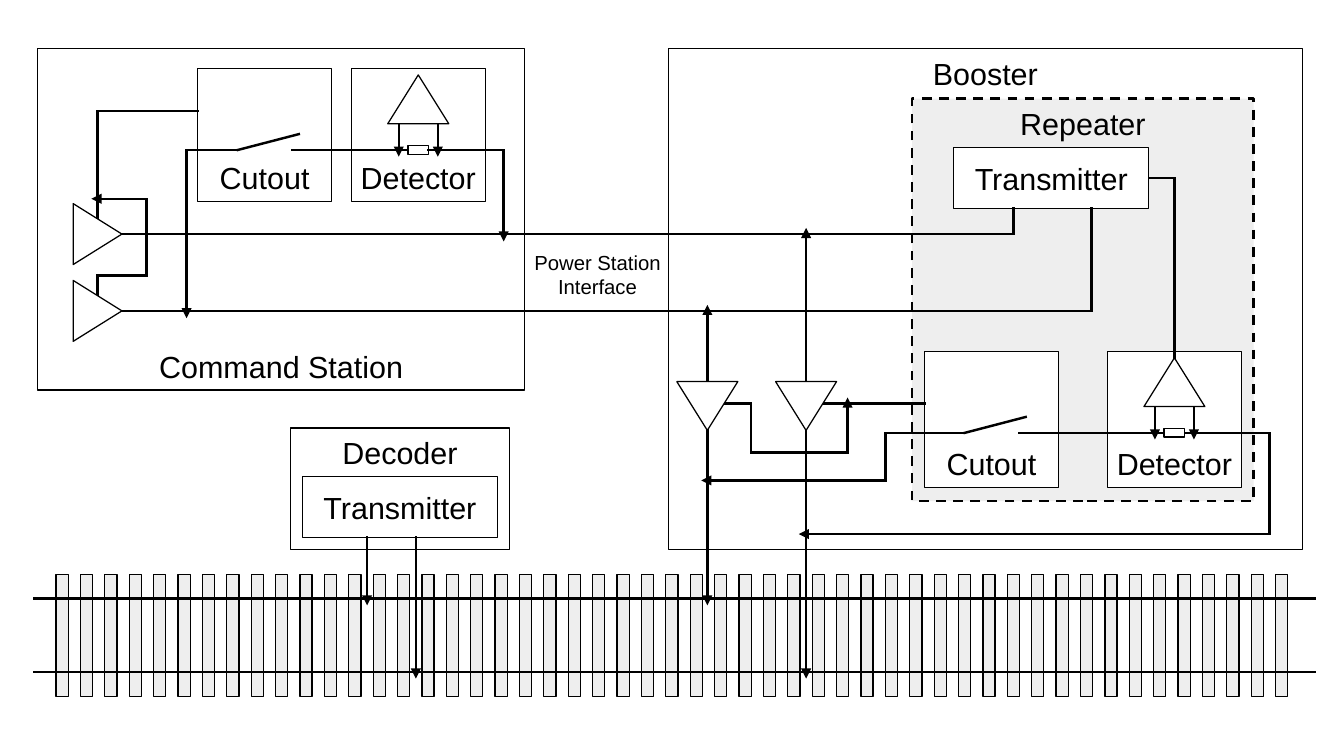
from dataclasses import dataclass

from lxml import etree
from pptx import Presentation
from pptx.dml.color import RGBColor
from pptx.enum.dml import MSO_LINE
from pptx.enum.shapes import MSO_CONNECTOR, MSO_SHAPE
from pptx.enum.text import MSO_ANCHOR, PP_ALIGN
from pptx.oxml.ns import qn
from pptx.shapes.autoshape import Shape
from pptx.shapes.shapetree import SlideShapes
from pptx.util import Emu, Pt

RECT = MSO_SHAPE.RECTANGLE
STRAIGHT = MSO_CONNECTOR.STRAIGHT
DASH = MSO_LINE.DASH
CENTER = PP_ALIGN.CENTER
TOP, MIDDLE, BOTTOM = MSO_ANCHOR.TOP, MSO_ANCHOR.MIDDLE, MSO_ANCHOR.BOTTOM
LEFT_SIDE, RIGHT_SIDE = 1, 3

CELL = 91440  # one grid cell is a tenth of an inch
COLS, ROWS = 110.2, 62
FONT = "Arial"
BLACK, WHITE, GREY = "000000", "FFFFFF", "EEEEEE"
THIN, THICK = 0.75, 1.45
TIES, TIE_STEP = 51, 2

Point = tuple[float, float]


@dataclass
class Box:
    x: float
    y: float
    wide: float
    high: float
    label: str = ""
    anchor: MSO_ANCHOR = TOP
    fill: str = WHITE
    dashed: bool = False


@dataclass
class Wire:
    """A run of straight lines; start is a box whose right side it leaves."""
    points: list[Point]
    arrow: bool = False
    start: Shape | None = None
    end: Shape | None = None


@dataclass
class Sensor:
    """A cutout switch and a detector that share one wire."""
    cut: float
    det: float
    top: float
    high: float
    wire: float


def cells(count: float) -> Emu:
    return Emu(round(count * CELL))


def color(text: str) -> RGBColor:
    return RGBColor.from_string(text)


def paint(shape: Shape, fill: str, width: float) -> None:
    shape.shadow.inherit = False
    shape.fill.solid()
    shape.fill.fore_color.rgb = color(fill)
    shape.line.color.rgb = color(BLACK)
    shape.line.width = Pt(width)


def write(shape: Shape, text: str, size: float, anchor: MSO_ANCHOR, wrap: bool) -> None:
    frame = shape.text_frame
    frame.text = text
    frame.word_wrap = wrap
    frame.vertical_anchor = anchor
    frame.margin_left = frame.margin_right = cells(1)
    frame.margin_top = frame.margin_bottom = cells(0.5)
    for para in frame.paragraphs:
        para.alignment = CENTER
        for run in para.runs:
            run.font.name = FONT
            run.font.size = Pt(size)
            run.font.color.rgb = color(BLACK)


def draw_box(shapes: SlideShapes, box: Box) -> Shape:
    shape = shapes.add_shape(RECT, cells(box.x), cells(box.y), cells(box.wide), cells(box.high))
    paint(shape, box.fill, THICK if box.dashed else THIN)
    if box.dashed:
        shape.line.dash_style = DASH
    if box.label:
        write(shape, box.label, 18, box.anchor, False)
    return shape


def draw_wire(shapes: SlideShapes, wire: Wire) -> None:
    lines = []
    for (x1, y1), (x2, y2) in zip(wire.points, wire.points[1:]):
        line = shapes.add_connector(STRAIGHT, cells(x1), cells(y1), cells(x2), cells(y2))
        line.line.color.rgb = color(BLACK)
        line.line.width = Pt(THICK)
        props = line._element.spPr
        props.find(qn("a:ln")).set("cap", "sq")
        etree.SubElement(props, qn("a:effectLst"))
        lines.append(line)
    if wire.arrow:
        stroke = lines[-1]._element.spPr.find(qn("a:ln"))
        etree.SubElement(stroke, qn("a:tailEnd"), type="triangle")
    if wire.start is not None:
        lines[0].begin_connect(wire.start, RIGHT_SIDE)
    if wire.end is not None:
        lines[-1].end_connect(wire.end, LEFT_SIDE)


def draw_amp(shapes: SlideShapes, x: float, y: float, dx: float, dy: float) -> None:
    """Draw a triangle with its tip at x, y, pointing along dx, dy."""
    back_x, back_y = x - 4 * dx, y - 4 * dy
    base = [(back_x + side * dy, back_y + side * dx) for side in (2.5, -2.5)]
    pen = shapes.build_freeform(cells(x), cells(y))
    pen.add_line_segments([(cells(px), cells(py)) for px, py in base], close=True)
    paint(pen.convert_to_shape(), WHITE, THIN)


def draw_sensor(shapes: SlideShapes, part: Sensor) -> Shape:
    """Draw both boxes with their contents and return the resistor."""
    for x, label in ((part.det, "Detector"), (part.cut, "Cutout")):
        draw_box(shapes, Box(x, part.top, 11, part.high, label, BOTTOM))
    y = part.wire
    load = draw_box(shapes, Box(part.det + 4.65, y - 0.35, 1.7, 0.7))
    draw_wire(shapes, Wire([(part.cut + 3.3, y), (part.cut + 8.3, y - 1.3)]))
    draw_wire(shapes, Wire([(part.cut + 7.8, y), (part.det + 4.65, y)], end=load))
    for x in (part.det + 3.9, part.det + 7.1):
        draw_wire(shapes, Wire([(x, y - 2.2), (x, y + 0.55)], arrow=True))
    draw_amp(shapes, part.det + 5.5, y - 6.15, 0, -1)
    return load


def main() -> None:
    deck = Presentation()
    deck.slide_width, deck.slide_height = cells(COLS), cells(ROWS)
    shapes = deck.slides.add_slide(deck.slide_layouts[6]).shapes

    boxes = [
        Box(54.8, 4, 52, 41.1, "Booster"),
        Box(74.8, 8.1, 28, 33, "Repeater", fill=GREY, dashed=True),
        Box(23.8, 35.1, 18, 10, "Decoder"),
        Box(3.1, 4, 39.9, 28, "Command Station", BOTTOM),
        Box(24.8, 39.1, 16, 5, "Transmitter", MIDDLE),
    ]
    ties = [Box(4.6 + TIE_STEP * i, 47.1, 1, 10, fill=GREY) for i in range(TIES)]
    for box in boxes + ties:
        draw_box(shapes, box)
    sender = draw_box(shapes, Box(78.2, 12.1, 16, 5, "Transmitter", MIDDLE))
    near = draw_sensor(shapes, Sensor(16.2, 28.8, 5.6, 10.9, 12.3))
    far = draw_sensor(shapes, Sensor(75.8, 90.8, 28.8, 11.2, 35.5))

    wires = [
        # Command station
        Wire([(8, 18.1), (8, 9.1), (16.2, 9.1)]),
        Wire([(8, 24.4), (8, 22.6), (12, 22.6), (12, 16.3), (7.5, 16.3)], True),
        Wire([(19.5, 12.3), (15.3, 12.3), (15.3, 26.1)], True),
        Wire([(35.15, 12.3), (41.3, 12.3), (41.3, 19.8)], True, near),
        # Power station interface
        Wire([(9.6, 19.2), (83.1, 19.2), (83.1, 17.1)]),
        Wire([(9.6, 25.5), (89.5, 25.5), (89.5, 17.1)]),
        # Booster
        Wire([(94.2, 14.6), (96.3, 14.6), (96.3, 29.35)], start=sender),
        Wire([(97.15, 35.5), (104.1, 35.5), (104.1, 43.8), (65.5, 43.8)], True, far),
        Wire([(79.1, 35.5), (72.6, 35.5), (72.6, 39.4), (57.5, 39.4)], True),
        Wire([(59.4, 33.1), (61.6, 33.1), (61.6, 37.1), (69.5, 37.1), (69.5, 32.6)], True),
        Wire([(67.4, 33.1), (75.8, 33.1)]),
        Wire([(58, 31.3), (58, 25)], True),
        Wire([(66.1, 31.3), (66.1, 18.7)], True),
    ]
    # Feeds down to the track
    for x, y, rail in ((30.1, 44.1, 49.1), (34.1, 44.1, 55.1), (58, 35.2, 49.1), (66.1, 35.2, 55.1)):
        wires.append(Wire([(x, y), (x, rail + 0.55)], True))
    wires += [Wire([(2.8, rail), (107.8, rail)]) for rail in (49.1, 55.1)]
    for wire in wires:
        draw_wire(shapes, wire)

    for y in (19.2, 25.5):
        draw_amp(shapes, 10, y, 1, 0)
    for x in (58, 66.1):
        draw_amp(shapes, x, 35.3, 0, 1)

    note = shapes.add_textbox(cells(42.7), cells(20), cells(12.6), cells(4.7))
    write(note, "Power Station Interface", 12, TOP, True)
    deck.save("out.pptx")


if __name__ == "__main__":
    main()
